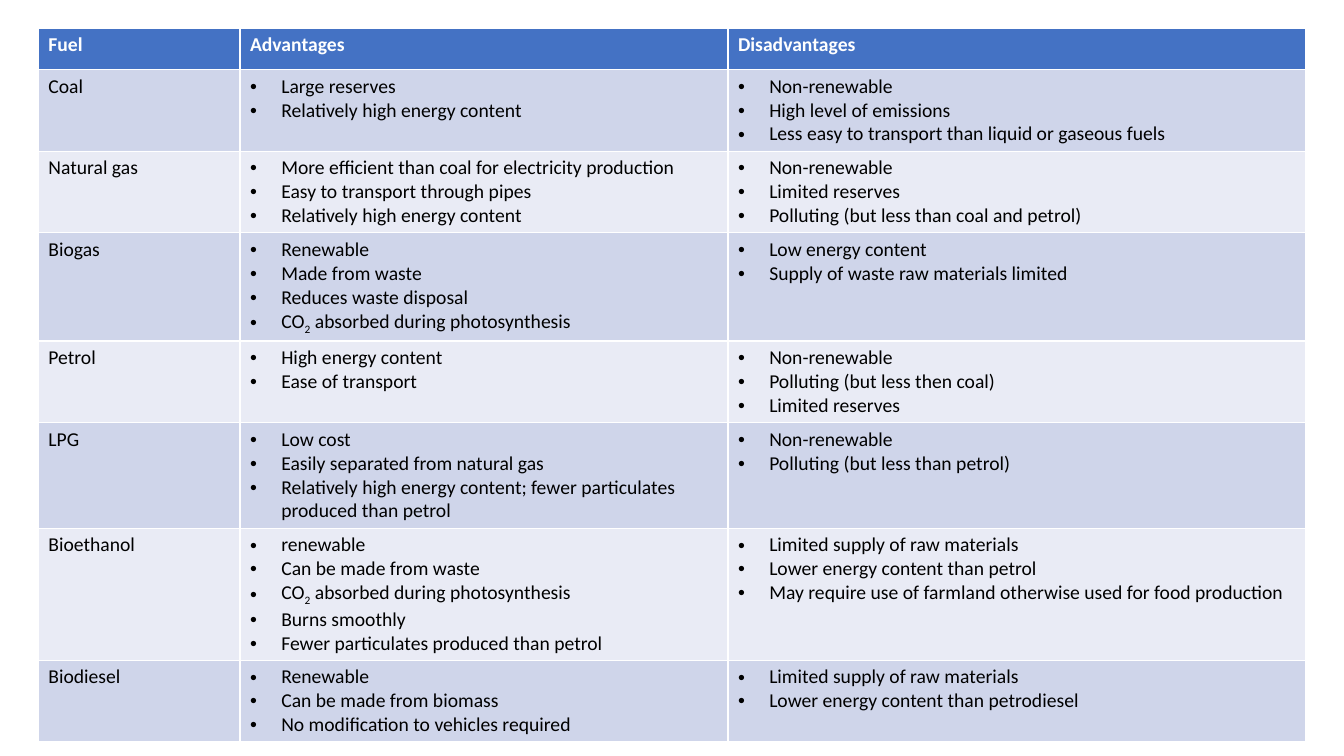
from dataclasses import dataclass

from lxml import etree
from pptx import Presentation
from pptx import util as u
from pptx.dml import color as dml
from pptx.oxml import ns
from pptx.table import _Cell as Cell

COLUMN_WIDTHS = (2, 4.84, 5.73)
ROW_HEIGHT = 0.41  # minimum: rows grow to fit their text
BULLET_INDENT = 0.31
HEADINGS = ("Fuel", "Advantages", "Disadvantages")
HEADER_FILL = "4472C4"
BAND_FILLS = ("CFD5EA", "E9EBF5")
SUBSCRIPT_TWO = "₂"


@dataclass(frozen=True)
class Fuel:
    name: str
    advantages: tuple[str, ...]
    disadvantages: tuple[str, ...]


FUELS = (
    Fuel("Coal",
         ("Large reserves", "Relatively high energy content"),
         ("Non-renewable", "High level of emissions",
          "Less easy to transport than liquid or gaseous fuels")),
    Fuel("Natural gas",
         ("More efficient than coal for electricity production",
          "Easy to transport through pipes", "Relatively high energy content"),
         ("Non-renewable", "Limited reserves",
          "Polluting (but less than coal and petrol)")),
    Fuel("Biogas",
         ("Renewable", "Made from waste", "Reduces waste disposal",
          "CO₂ absorbed during photosynthesis"),
         ("Low energy content", "Supply of waste raw materials limited")),
    Fuel("Petrol",
         ("High energy content", "Ease of transport"),
         ("Non-renewable", "Polluting (but less then coal)", "Limited reserves")),
    Fuel("LPG",
         ("Low cost", "Easily separated from natural gas",
          "Relatively high energy content; fewer particulates produced than petrol"),
         ("Non-renewable", "Polluting (but less than petrol)")),
    Fuel("Bioethanol",
         ("renewable", "Can be made from waste",
          "CO₂ absorbed during photosynthesis", "Burns smoothly",
          "Fewer particulates produced than petrol"),
         ("Limited supply of raw materials", "Lower energy content than petrol",
          "May require use of farmland otherwise used for food production")),
    Fuel("Biodiesel",
         ("Renewable", "Can be made from biomass",
          "No modification to vehicles required"),
         ("Limited supply of raw materials",
          "Lower energy content than petrodiesel")),
)


def rgb(value: str) -> dml.RGBColor:
    return dml.RGBColor.from_string(value)


def add_bullet(paragraph) -> None:
    properties = paragraph._p.get_or_add_pPr()
    indent = u.Inches(BULLET_INDENT)
    properties.set("marL", str(indent))
    properties.set("indent", str(-indent))
    etree.SubElement(properties, ns.qn("a:buFont")).set("typeface", "Arial")
    etree.SubElement(properties, ns.qn("a:buChar")).set("char", "•")


def add_runs(paragraph, line: str) -> None:
    """Write a line, setting the two of a formula as a real subscript."""
    before, two, after = line.partition(SUBSCRIPT_TWO)
    paragraph.add_run().text = before
    if two:
        subscript = paragraph.add_run()
        subscript.text = "2"
        subscript._r.get_or_add_rPr().set("baseline", "-25000")
        paragraph.add_run().text = after


def fill_cell(cell: Cell, lines: tuple[str, ...], fill: str,
              bulleted: bool = False, header: bool = False) -> None:
    cell.fill.solid()
    cell.fill.fore_color.rgb = rgb(fill)
    frame = cell.text_frame
    for index, line in enumerate(lines):
        paragraph = frame.add_paragraph() if index else frame.paragraphs[0]
        if bulleted:
            add_bullet(paragraph)
        add_runs(paragraph, line)
        paragraph.font.name = "Calibri"
        paragraph.font.size = u.Pt(14)
        paragraph.font.bold = header
        paragraph.font.color.rgb = rgb("FFFFFF" if header else "000000")


def main() -> None:
    presentation = Presentation()
    presentation.slide_width = u.Inches(13.33)
    presentation.slide_height = u.Inches(7.5)
    slide = presentation.slides.add_slide(presentation.slide_layouts[6])

    # Table grid; the default table style supplies the white rules
    row_count = len(FUELS) + 1
    shape = slide.shapes.add_table(
        row_count, len(HEADINGS), u.Inches(0.38), u.Inches(0.28),
        u.Inches(sum(COLUMN_WIDTHS)), u.Inches(ROW_HEIGHT * row_count))
    table = shape.table
    for column, width in zip(table.columns, COLUMN_WIDTHS):
        column.width = u.Inches(width)

    # Header row
    for column_index, heading in enumerate(HEADINGS):
        fill_cell(table.cell(0, column_index), (heading,), HEADER_FILL, header=True)

    # One banded row per fuel
    for row_index, fuel in enumerate(FUELS, start=1):
        fill = BAND_FILLS[(row_index - 1) % 2]
        fill_cell(table.cell(row_index, 0), (fuel.name,), fill)
        fill_cell(table.cell(row_index, 1), fuel.advantages, fill, bulleted=True)
        fill_cell(table.cell(row_index, 2), fuel.disadvantages, fill, bulleted=True)

    presentation.save("out.pptx")


if __name__ == "__main__":
    main()
